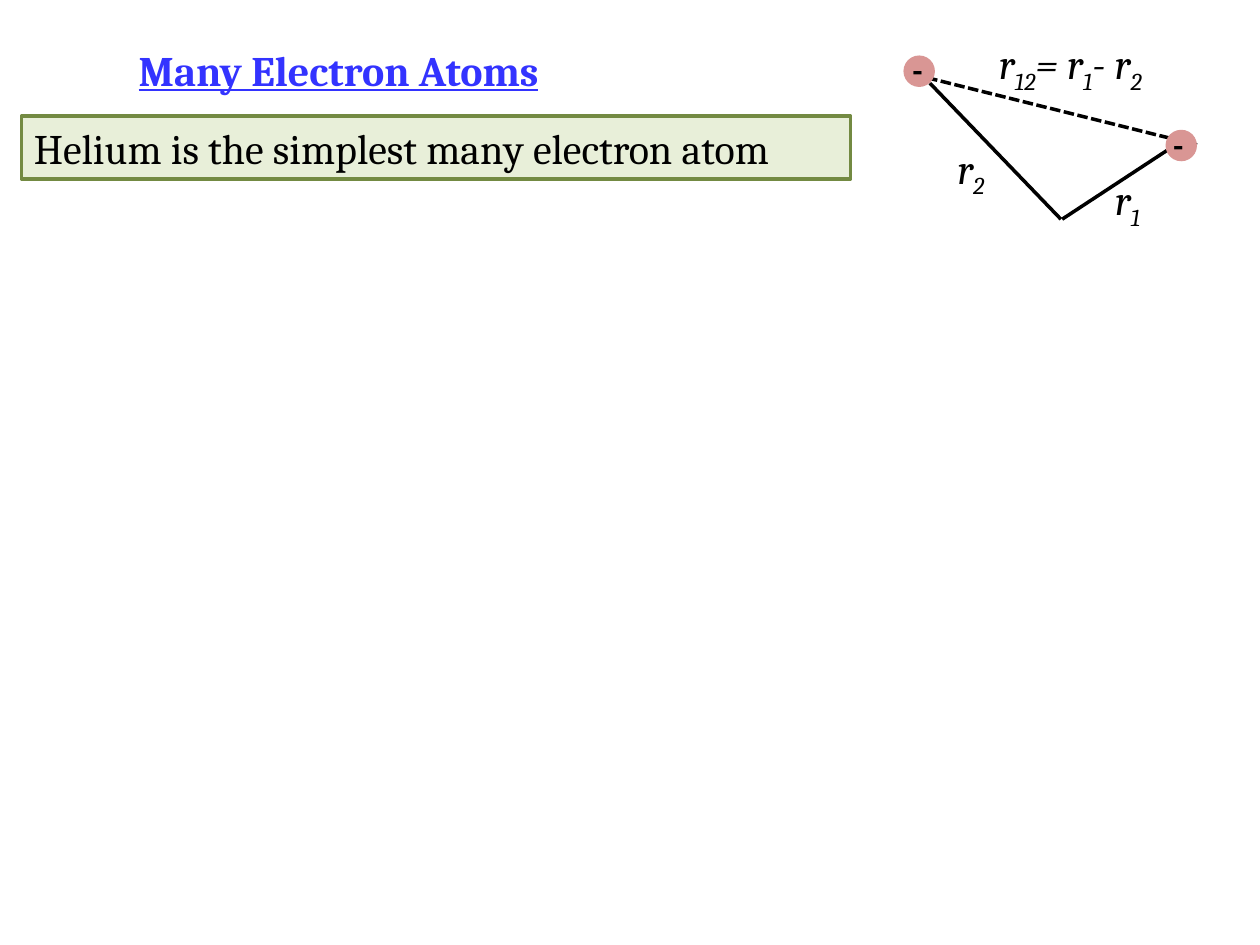
from pptx import Presentation
from pptx.dml.color import RGBColor
from pptx.enum.dml import MSO_LINE
from pptx.enum.shapes import MSO_CONNECTOR, MSO_SHAPE
from pptx.enum.text import MSO_ANCHOR, MSO_AUTO_SIZE, PP_ALIGN
from pptx.util import Inches, Pt
from lxml import etree

STRAIGHT = MSO_CONNECTOR.STRAIGHT
RECTANGLE, OVAL = MSO_SHAPE.RECTANGLE, MSO_SHAPE.OVAL
DASH = MSO_LINE.SQUARE_DOT
LEFT, TOP = PP_ALIGN.LEFT, MSO_ANCHOR.TOP
GROW = MSO_AUTO_SIZE.SHAPE_TO_FIT_TEXT
A = "{http://schemas.openxmlformats.org/drawingml/2006/main}"


def color(hex_code):
    return RGBColor.from_string(hex_code)


def write(shape, parts, size=24, hex_code="000000", bold=False, italic=False, wrap=True):
    """Fill a shape with left-aligned text; every second part is a subscript."""
    frame = shape.text_frame
    frame.word_wrap = wrap
    frame.auto_size = GROW
    frame.vertical_anchor = TOP
    paragraph = frame.paragraphs[0]
    paragraph.alignment = LEFT
    font = paragraph.font
    font.name, font.size = "Cambria", Pt(size)
    font.bold, font.italic = bold, italic
    font.color.rgb = color(hex_code)
    for index, part in enumerate(parts):
        run = paragraph.add_run()
        run.text = part
        if index % 2:
            run.font._element.set("baseline", "-25000")


prs = Presentation()
prs.slide_width, prs.slide_height = Inches(10), Inches(7.5)
slide = prs.slides.add_slide(prs.slide_layouts[5])
shapes = slide.shapes

# Title
title = shapes.title
title.left, title.top = Inches(1), Inches(0.3)
title.width, title.height = Inches(7.75), Inches(0.5)
write(title, ["Many Electron Atoms"], hex_code="3333FF", bold=True)
title.text_frame.paragraphs[0].font.underline = True

# Statement
statement = shapes.add_shape(RECTANGLE, Inches(0.17), Inches(0.92), Inches(6.58), Inches(0.5))
statement.shadow.inherit = False
statement.fill.solid()
statement.fill.fore_color.rgb = color("E8EFD9")
statement.line.color.rgb = color("738A42")
statement.line.width = Pt(2)
write(statement, ["Helium is the simplest many electron atom"])

# Distances between the nucleus and the electrons
for x1, y1, x2, y2, dashed in [
    (9.5, 1.15, 7.33, 0.61, True),
    (8.42, 1.74, 7.38, 0.66, False),
    (8.43, 1.74, 9.39, 1.11, False),
]:
    distance = shapes.add_connector(STRAIGHT, Inches(x1), Inches(y1), Inches(x2), Inches(y2))
    distance.line.color.rgb = color("000000")
    distance.line.width = Pt(2)
    if dashed:
        distance.line.dash_style = DASH
    etree.SubElement(distance._element.spPr, A + "effectLst")

# Electrons with their charge signs
for x, y, sign_x, sign_y in [(9.25, 1.03, 9.21, 0.92), (7.17, 0.44, 7.14, 0.33)]:
    electron = shapes.add_shape(OVAL, Inches(x), Inches(y), Inches(0.25), Inches(0.25))
    electron.shadow.inherit = False
    electron.fill.solid()
    electron.fill.fore_color.rgb = color("D99694")
    electron.line.fill.background()
    charge = shapes.add_textbox(Inches(sign_x), Inches(sign_y), Inches(0.31), Inches(0.44))
    write(charge, ["-"], size=20, bold=True, wrap=False)

# Distance labels
for x, y, width, parts in [
    (8.75, 1.33, 0.45, ["r", "1"]),
    (7.5, 1.08, 0.48, ["r", "2"]),
    (7.83, 0.25, 1.62, ["r", "12", "= r", "1", "- r", "2"]),
]:
    label = shapes.add_textbox(Inches(x), Inches(y), Inches(width), Inches(0.5))
    write(label, parts, italic=True, wrap=False)

prs.save("out.pptx")
